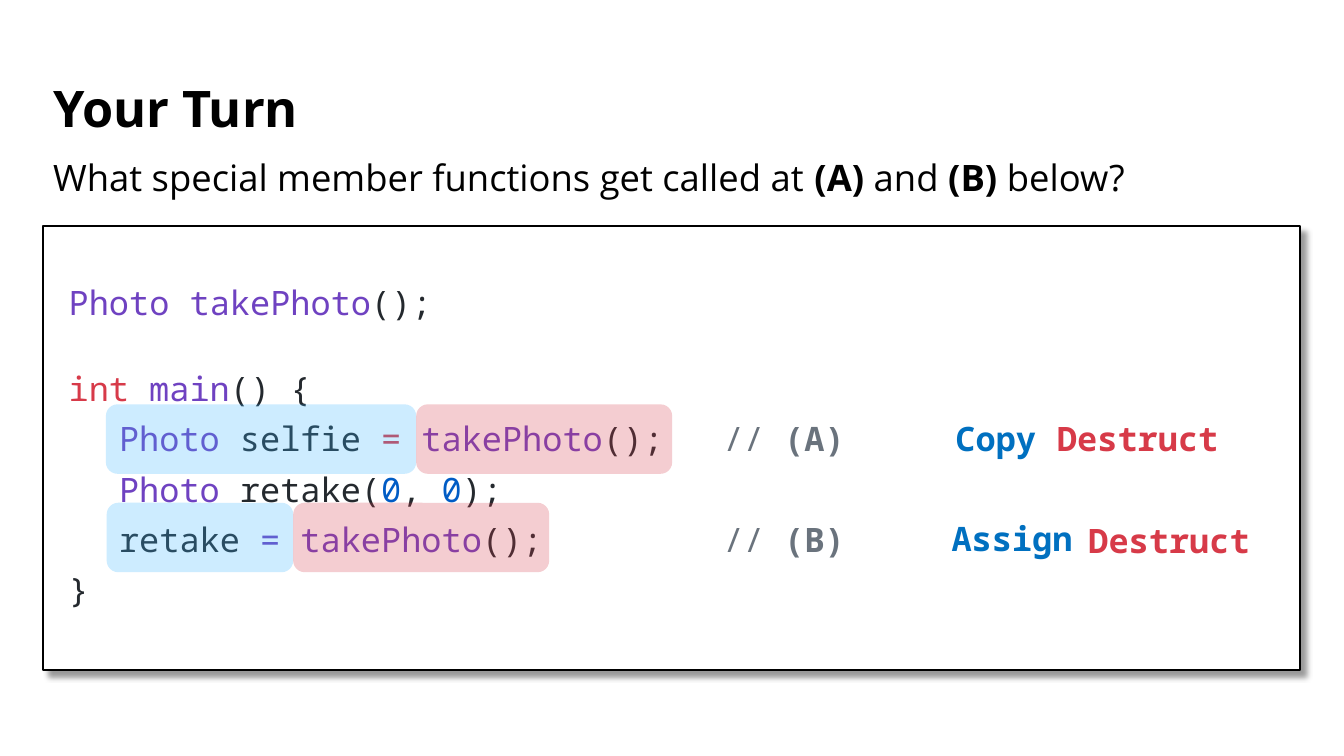
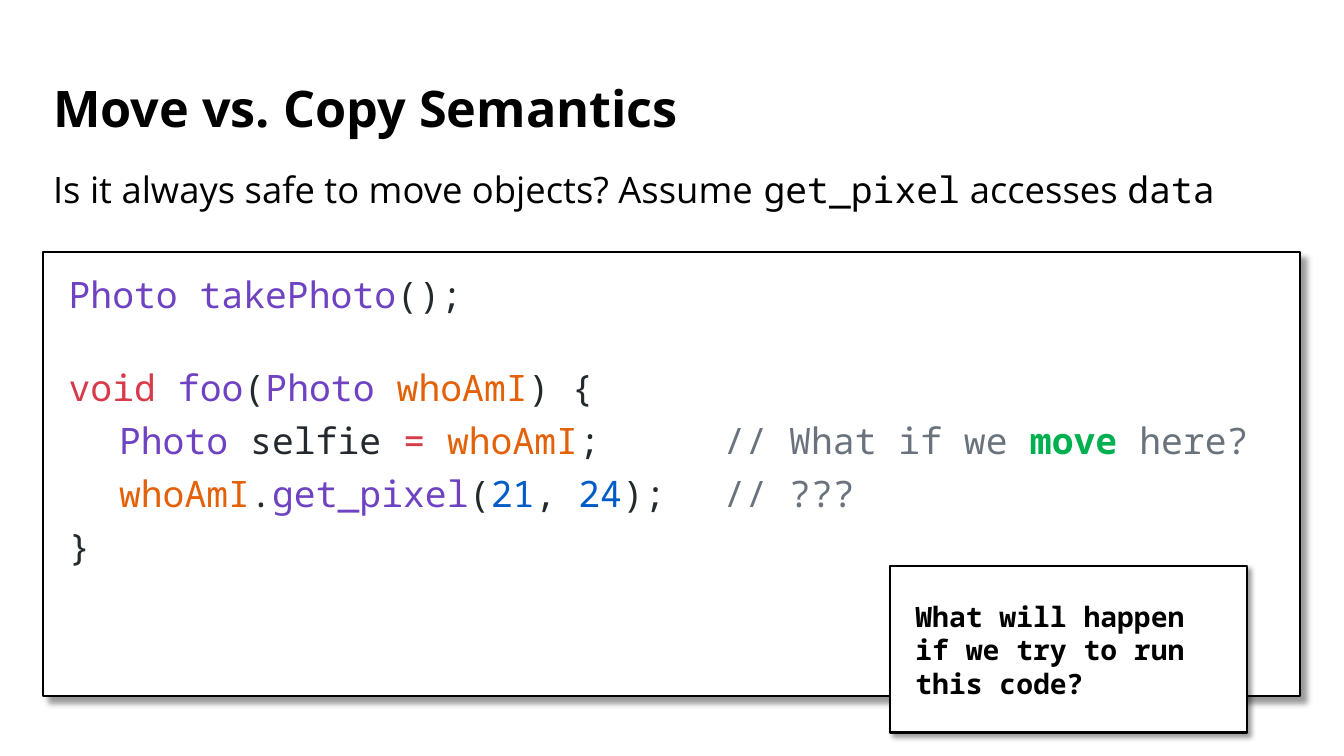
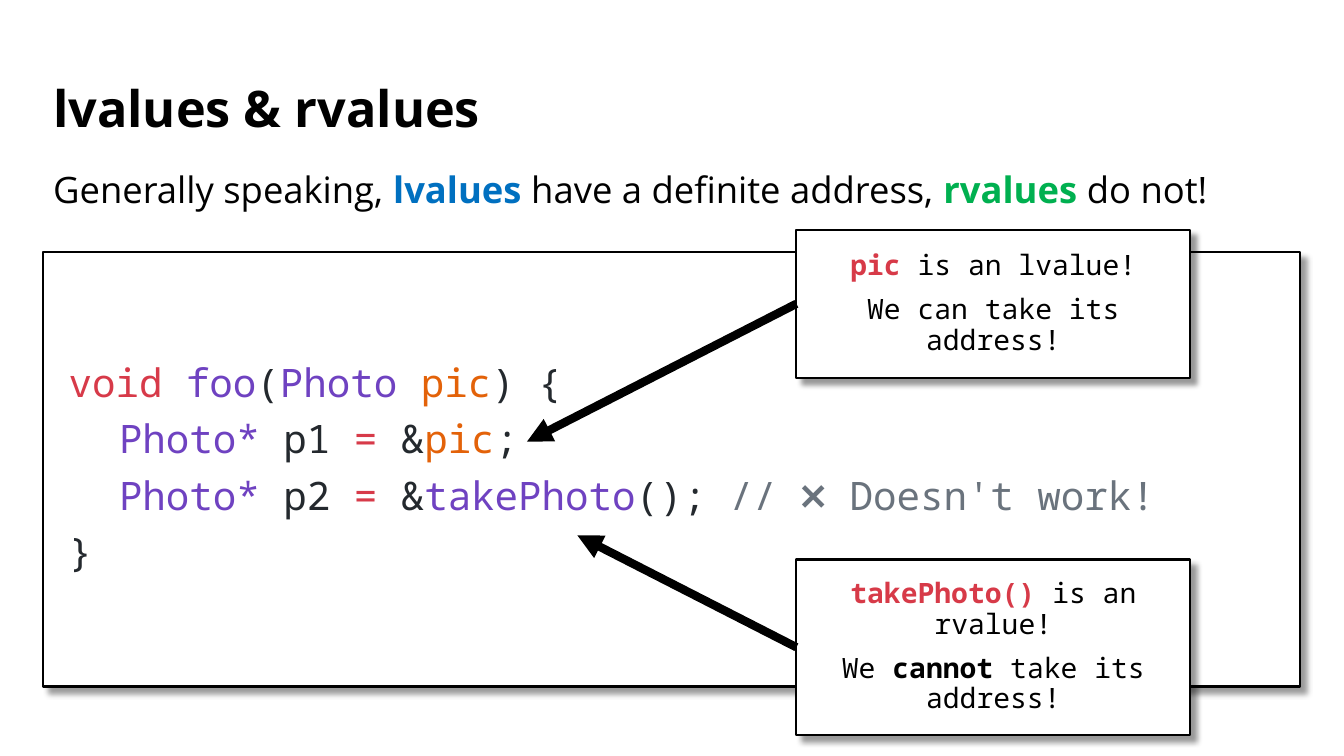
from dataclasses import dataclass

import pptx
import pptx.dml.color
import pptx.enum.shapes
import pptx.enum.text
import pptx.oxml.ns
import pptx.util
from lxml import etree

Cm, Pt = pptx.util.Cm, pptx.util.Pt
SHAPE = pptx.enum.shapes.MSO_SHAPE
ANCHOR = pptx.enum.text.MSO_ANCHOR
ALIGN = pptx.enum.text.PP_ALIGN
qn = pptx.oxml.ns.qn


@dataclass(frozen=True)
class Theme:
    sans: str = "Open Sans"
    mono: str = "Noto Sans Mono"
    title: int = 36
    lead: int = 26
    note: int = 20
    answer: int = 24
    space: int = 10
    black: str = "000000"
    white: str = "FFFFFF"
    ink: str = "24292E"
    name: str = "6F42C1"
    keyword: str = "D73A49"
    param: str = "E36209"
    number: str = "005CC5"
    comment: str = "6A737D"
    blue: str = "0070C0"
    green: str = "00B050"
    red: str = "D73A48"
    sky: str = "38B6FF"


T = Theme()


@dataclass(frozen=True)
class Box:
    """A rectangle in centimetres."""
    x: float
    y: float
    w: float
    h: float

    def at(self, dx, dy, w, h):
        return Box(self.x + dx, self.y + dy, w, h)

    def emu(self):
        return Cm(self.x), Cm(self.y), Cm(self.w), Cm(self.h)


TITLE = Box(1.09, 1.75, 31.67, 2.13)
TAB_STOPS = (1.27, 16.51)  # code indent, comment column
INSET = 0.64


def rgb(value):
    return pptx.dml.color.RGBColor.from_string(value)


# --- Text ---
def set_frame(tf, inset_x, inset_y, anchor):
    tf.word_wrap = True
    tf.vertical_anchor = anchor
    tf.margin_left = tf.margin_right = Cm(inset_x)
    tf.margin_top = tf.margin_bottom = Cm(inset_y)


def add_run(p, text, color, size, font, bold=False):
    r = p.add_run()
    r.text = text
    r.font.name, r.font.size, r.font.bold = font, Pt(size), bold
    r.font.color.rgb = rgb(color)


def add_tabs(p):
    tabs = etree.SubElement(p._p.get_or_add_pPr(), qn("a:tabLst"))
    for stop in TAB_STOPS:
        etree.SubElement(tabs, qn("a:tab"), pos=str(Cm(stop)), algn="l")


def add_lines(tf, lines, size, font=T.mono, spacing=0.9, align=ALIGN.LEFT,
              tabs=False):
    """Each line lists (text, colour[, bold]) runs; an empty line is a gap."""
    first, gap = True, 0
    for line in lines:
        if not line:
            gap = 1.07 * size
            continue
        p = tf.paragraphs[0] if first else tf.add_paragraph()
        if tabs:
            add_tabs(p)
        p.alignment, p.line_spacing = align, spacing
        p.space_before = Pt(0 if first else T.space + gap)
        first, gap = False, 0
        for text, color, *bold in line:
            add_run(p, text, color, size, font, bool(bold and bold[0]))


def text_box(s, box, inset_x, inset_y, anchor):
    tf = s.shapes.add_textbox(*box.emu()).text_frame
    set_frame(tf, inset_x, inset_y, anchor)
    return tf


# --- Shapes ---
def card(s, box, inset_y=INSET, anchor=ANCHOR.MIDDLE, distance=6):
    """White outlined box with a drop shadow."""
    sp = s.shapes.add_shape(SHAPE.RECTANGLE, *box.emu())
    sp.fill.solid()
    sp.fill.fore_color.rgb = rgb(T.white)
    sp.line.color.rgb = rgb(T.black)
    sp.line.width = Pt(1.5)
    sp.shadow.inherit = False
    shadow = etree.SubElement(
        sp.element.spPr.find(qn("a:effectLst")), qn("a:outerShdw"),
        blurRad=str(Pt(4)), dist=str(Pt(distance)), dir="2700000",
        algn="tl", rotWithShape="0")
    color = etree.SubElement(shadow, qn("a:srgbClr"), val=T.black)
    etree.SubElement(color, qn("a:alpha"), val="40000")
    set_frame(sp.text_frame, INSET, inset_y, anchor)
    return sp.text_frame


def highlight(s, box, color):
    sp = s.shapes.add_shape(SHAPE.ROUNDED_RECTANGLE, *box.emu())
    sp.shadow.inherit = False
    sp.line.fill.background()
    sp.fill.solid()
    sp.fill.fore_color.rgb = rgb(color)
    clr = sp.element.spPr.find(qn("a:solidFill")).find(qn("a:srgbClr"))
    etree.SubElement(clr, qn("a:alpha"), val="25000")


def arrow(s, x1, y1, x2, y2):
    cn = s.shapes.add_connector(pptx.enum.shapes.MSO_CONNECTOR.STRAIGHT,
                                Cm(x1), Cm(y1), Cm(x2), Cm(y2))
    cn.line.color.rgb = rgb(T.black)
    cn.line.width = Pt(6)
    spPr = cn.element.spPr
    etree.SubElement(spPr.find(qn("a:ln")), qn("a:tailEnd"), type="triangle")
    etree.SubElement(spPr, qn("a:effectLst"))


# --- Slide regions ---
def heading(prs, title, lead_top, lead):
    """New slide with a title and a lead line of (text, colour, bold, font)."""
    s = prs.slides.add_slide(prs.slide_layouts[6])
    tf = text_box(s, TITLE, 0.25, 0.13, ANCHOR.MIDDLE)
    add_lines(tf, [[(title, T.black, True)]], T.title, T.sans)
    lead_box = Box(TITLE.x, lead_top, TITLE.w, 1.19)
    tf = text_box(s, lead_box, 0.25, 0.13, ANCHOR.TOP)
    p = tf.paragraphs[0]
    p.line_spacing, p.space_before = 0.8, Pt(0)
    for text, color, bold, font in lead:
        add_run(p, text, color, T.lead, font, bold)
    return s


def code_panel(s, box, size, lines, anchor=ANCHOR.MIDDLE):
    add_lines(card(s, box, anchor=anchor), lines, size, tabs=True)


def answer_row(s, panel, top, target_w, call_x, answers):
    """Marks target and call of one code row, with the answers at its right."""
    start, call_w, h = call_x - target_w, 6.45, 1.75
    highlight(s, panel.at(start, top, target_w, h), T.sky)
    highlight(s, panel.at(call_x, top, call_w, h), T.red)
    for word, color, dx, dy in answers:
        tf = text_box(s, panel.at(dx, top + dy, 4.34, h), 0, 0, ANCHOR.MIDDLE)
        add_lines(tf, [[(word, color, True)]], T.answer)


def pointer_note(s, panel, top, h, tip, lines):
    """Centred note with an arrow from its left edge to a spot in the code."""
    box = panel.at(18.98, top, 9.93, h)
    add_lines(card(s, box), lines, T.note, align=ALIGN.CENTER)
    arrow(s, box.x, box.y + h / 2, panel.x + tip[0], panel.y + tip[1])


# --- Slides ---
def your_turn(prs):
    s = heading(prs, "Your Turn", 3.99, [
        ("What special member functions get called at ", T.black, False, T.sans),
        ("(A)", T.black, True, T.sans),
        (" and ", T.black, False, T.sans),
        ("(B)", T.black, True, T.sans),
        (" below?", T.black, False, T.sans)])
    panel = Box(TITLE.x, 5.69, TITLE.w, 11.2)
    code_panel(s, panel, 24, [
        [("Photo takePhoto", T.name), ("();", T.ink)],
        [],
        [("int ", T.keyword), ("main", T.name), ("() {", T.ink)],
        [("\tPhoto", T.name), (" selfie ", T.ink), ("= ", T.keyword),
         ("takePhoto", T.name), ("();\t", T.ink), ("// ", T.comment),
         ("(A)", T.comment, True)],
        [("\tPhoto", T.name), (" retake(", T.ink), ("0", T.number),
         (", ", T.ink), ("0", T.number), (");", T.ink)],
        [("\tretake ", T.ink), ("= takePhoto", T.name), ("();", T.ink),
         ("\t// ", T.comment), ("(B)", T.comment, True)],
        [("}", T.ink)]])
    answer_row(s, panel, 4.5, 7.82, 9.4, [
        ("Copy", T.blue, 22.99, 0.05), ("Destruct", T.red, 25.55, 0.05)])
    answer_row(s, panel, 6.98, 4.7, 6.3, [
        ("Assign", T.blue, 22.89, 0.08), ("Destruct", T.red, 26.34, 0.13)])


def move_vs_copy(prs):
    s = heading(prs, "Move vs. Copy Semantics", 4.29, [
        ("Is it always safe to move objects? Assume ", T.black, False, T.sans),
        ("get_pixel", T.black, False, T.mono),
        (" accesses ", T.black, False, T.sans),
        ("data", T.black, False, T.mono)])
    panel = Box(TITLE.x, 6.35, TITLE.w, 11.2)
    code_panel(s, panel, 26, [
        [("Photo takePhoto", T.name), ("();", T.ink)],
        [],
        [("void ", T.keyword), ("foo", T.name), ("(", T.ink),
         ("Photo ", T.name), ("whoAmI", T.param), (") {", T.ink)],
        [("\tPhoto", T.name), (" selfie ", T.ink), ("= ", T.keyword),
         ("whoAmI", T.param), (";", T.ink), ("\t// What if we ", T.comment),
         ("move", T.green, True), (" here?", T.comment)],
        [("\twhoAmI", T.param), (".", T.ink), ("get_pixel", T.name),
         ("(", T.ink), ("21", T.number), (", ", T.ink), ("24", T.number),
         (");", T.ink), ("\t// ???", T.comment)],
        [("}", T.ink)]], ANCHOR.TOP)
    tf = card(s, panel.at(21.34, 7.92, 8.99, 4.19), inset_y=0.13, distance=3)
    question = "What will happen if we try to run this code?"
    add_lines(tf, [[(question, T.black, True)]], T.note, spacing=1.0)


def lvalues_rvalues(prs):
    s = heading(prs, "lvalues & rvalues", 4.29, [
        ("Generally speaking, ", T.black, False, T.sans),
        ("lvalues", T.blue, True, T.sans),
        (" have a definite address, ", T.black, False, T.sans),
        ("rvalues", T.green, True, T.sans),
        (" do not!", T.black, False, T.sans)])
    panel = Box(TITLE.x, 6.35, TITLE.w, 10.95)
    code_panel(s, panel, 28, [
        [("void ", T.keyword), ("foo", T.name), ("(", T.ink),
         ("Photo ", T.name), ("pic", T.param), (") {", T.ink)],
        [("\tPhoto*", T.name), (" p1 ", T.ink), ("=", T.keyword),
         (" &", T.ink), ("pic", T.param), (";", T.ink)],
        [("\tPhoto*", T.name), (" p2 ", T.ink), ("=", T.keyword),
         (" &", T.ink), ("takePhoto", T.name), ("(); ", T.ink),
         ("// ❌ Doesn't work!", T.comment)],
        [("}", T.ink)]])
    pointer_note(s, panel, -0.56, 3.73, (12.19, 4.78), [
        [("pic", T.red, True), (" is an lvalue!", T.black)],
        [("We can take its address!", T.black)]])
    pointer_note(s, panel, 7.75, 4.42, (13.46, 7.14), [
        [("takePhoto() ", T.red, True), ("is an rvalue!", T.black)],
        [("We ", T.black), ("cannot", T.black, True),
         (" take its address!", T.black)]])


def main():
    prs = pptx.Presentation()
    prs.slide_width, prs.slide_height = Cm(33.87), Cm(19.05)
    your_turn(prs)
    move_vs_copy(prs)
    lvalues_rvalues(prs)
    prs.save("out.pptx")


if __name__ == "__main__":
    main()
